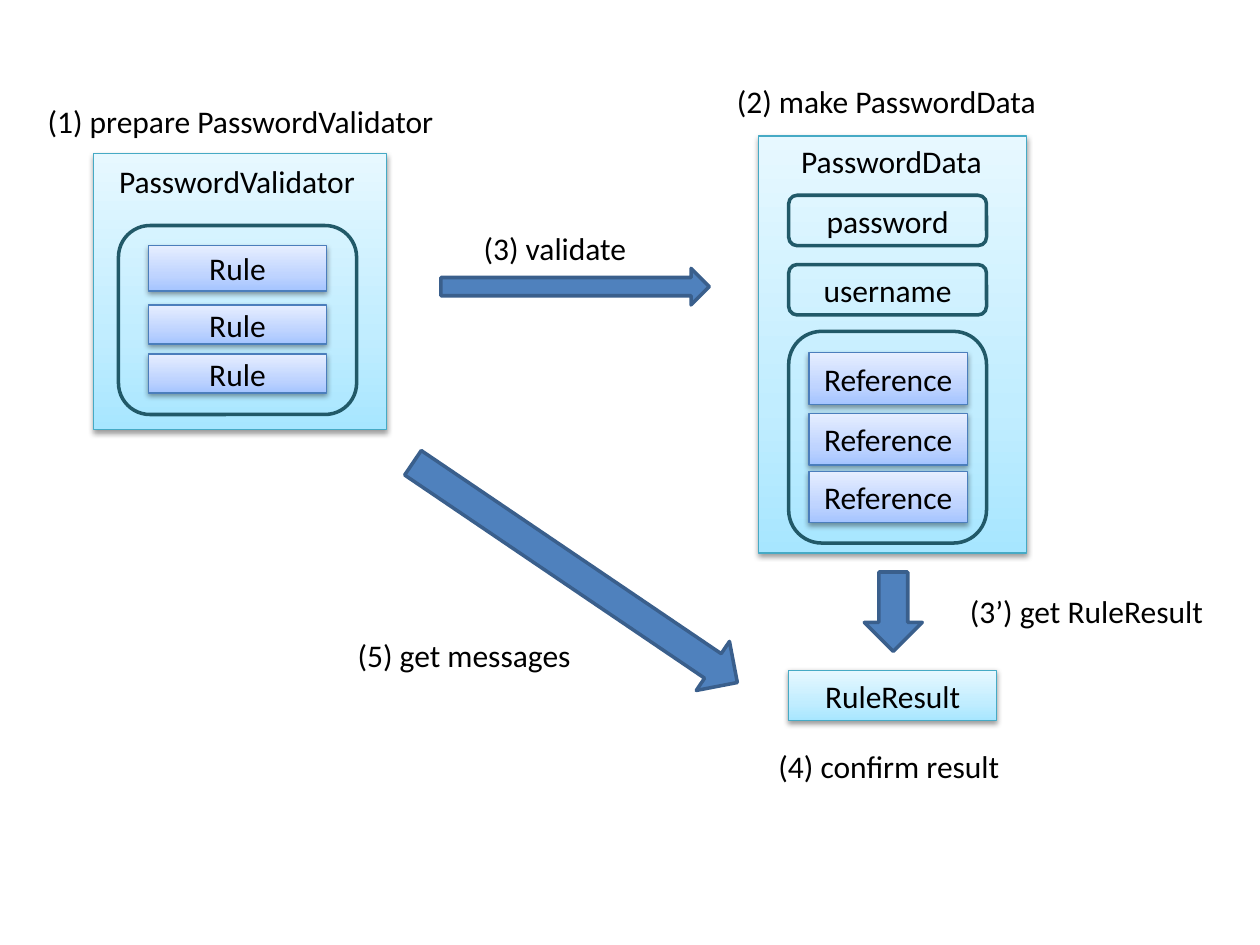
"""Build the password validation flow slide."""
from lxml.etree import SubElement
from pptx import Presentation
from pptx.dml.color import RGBColor
from pptx.enum.shapes import MSO_SHAPE as Preset
from pptx.enum.text import MSO_ANCHOR as Anchor, MSO_AUTO_SIZE as AutoSize, PP_ALIGN as Align
from pptx.oxml.ns import qn
from pptx.util import Inches, Pt

FONT, SIZE, BLACK = "Calibri", 18, "000000"
AQUA = ("A7E6FF", "C1EDFF", "E7F8FF")
BLUE = ("A4C4FF", "BFD4FF", "E6EEFF")
STOPS = (0, 35, 100)
AQUA_LINE, BLUE_LINE, FRAME_LINE = "46AAC5", "4B7EBC", "215968"
ARROW_FILL, ARROW_LINE = "4F81BD", "3A5F8C"

PANELS = [
    ("", 0.74, 1.22, 2.33, 2.19),
    ("", 6.02, 1.08, 2.13, 3.31),
    ("RuleResult", 6.26, 5.32, 1.65, 0.4),
]
FRAMES = [
    ("", 0.94, 1.79, 1.89, 1.5),
    ("password", 6.26, 1.55, 1.57, 0.4),
    ("username", 6.26, 2.1, 1.57, 0.4),
    ("", 6.26, 2.63, 1.57, 1.68),
]
RULES = [("Rule", 1.18, top, 1.41, height)
         for top, height in ((1.95, 0.36), (2.42, 0.31), (2.81, 0.31))]
REFERENCES = [("Reference", 6.42, top, 1.26, 0.41) for top in (2.8, 3.28, 3.74)]
ARROWS = [
    (Preset.RIGHT_ARROW, 3.5, 2.13, 2.13, 0.29, 0),
    (Preset.DOWN_ARROW, 6.86, 4.54, 0.46, 0.63, 0),
    (Preset.RIGHT_ARROW, 3.01, 4.31, 3.11, 0.47, 34.1),
]
LABELS = [
    (" PasswordValidator", 0.79, 1.24, 2.36),
    ("PasswordData", 6.26, 1.08, 1.81),
    ("(1) prepare PasswordValidator", 0.28, 0.76, 3.37),
    ("(2) make PasswordData", 5.75, 0.6, 2.6),
    ("(3) validate", 3.74, 1.77, 1.5),
    ("(3’) get RuleResult", 7.6, 4.65, 2.13),
    ("(4) confirm result", 6.08, 5.88, 2.01),
    ("(5) get messages", 2.74, 5, 2.01),
]


def color(value):
    return RGBColor.from_string(value)


def add_element(parent, tag, **attributes):
    return SubElement(parent, qn(tag), attributes)


def write(box, text, align):
    box.text_frame.word_wrap = True
    para = box.text_frame.paragraphs[0]
    para.alignment = align
    span = para.add_run()
    span.text = text
    span.font.name, span.font.size = FONT, Pt(SIZE)
    span.font.color.rgb = color(BLACK)


def add_box(page, preset, place, line, width, text=""):
    box = page.shapes.add_shape(preset, *map(Inches, place))
    box.shadow.inherit = False
    box.fill.background()
    box.line.color.rgb = color(line)
    box.line.width = Pt(width)
    if text:
        box.text_frame.vertical_anchor = Anchor.MIDDLE
        write(box, text, Align.CENTER)
    return box


def add_glossy_box(page, place, line, shades, text):
    box = add_box(page, Preset.RECTANGLE, place, line, 0.75, text)
    box.fill.gradient()
    properties = box.fill._xPr
    gradient = properties.find(qn("a:gradFill"))
    for child in list(gradient):
        gradient.remove(child)
    stops = add_element(gradient, "a:gsLst")
    for position, shade in zip(STOPS, shades):
        stop = add_element(stops, "a:gs", pos=str(position * 1000))
        add_element(stop, "a:srgbClr", val=shade)
    add_element(gradient, "a:lin", ang=str(270 * 60000), scaled="0")
    shadow = add_element(properties.find(qn("a:effectLst")), "a:outerShdw",
                         blurRad="40000", dist="20000", dir=str(90 * 60000), rotWithShape="0")
    tint = add_element(shadow, "a:srgbClr", val=BLACK)
    add_element(tint, "a:alpha", val="38000")


def add_label(page, text, left, top, width):
    box = page.shapes.add_textbox(*map(Inches, (left, top, width, 0.4)))
    box.text_frame.auto_size = AutoSize.SHAPE_TO_FIT_TEXT
    write(box, text, Align.LEFT)


def main():
    deck = Presentation()
    deck.slide_width, deck.slide_height = Inches(10), Inches(7.5)
    page = deck.slides.add_slide(deck.slide_layouts[6])
    for text, *place in PANELS:
        add_glossy_box(page, place, AQUA_LINE, AQUA, text)
    for text, *place in FRAMES:
        add_box(page, Preset.ROUNDED_RECTANGLE, place, FRAME_LINE, 2, text)
    for text, *place in RULES + REFERENCES:
        add_glossy_box(page, place, BLUE_LINE, BLUE, text)
    for preset, *place, angle in ARROWS:
        arrow = add_box(page, preset, place, ARROW_LINE, 2)
        arrow.fill.solid()
        arrow.fill.fore_color.rgb = color(ARROW_FILL)
        arrow.rotation = angle
    for label in LABELS:
        add_label(page, *label)
    deck.save("out.pptx")


if __name__ == "__main__":
    main()
